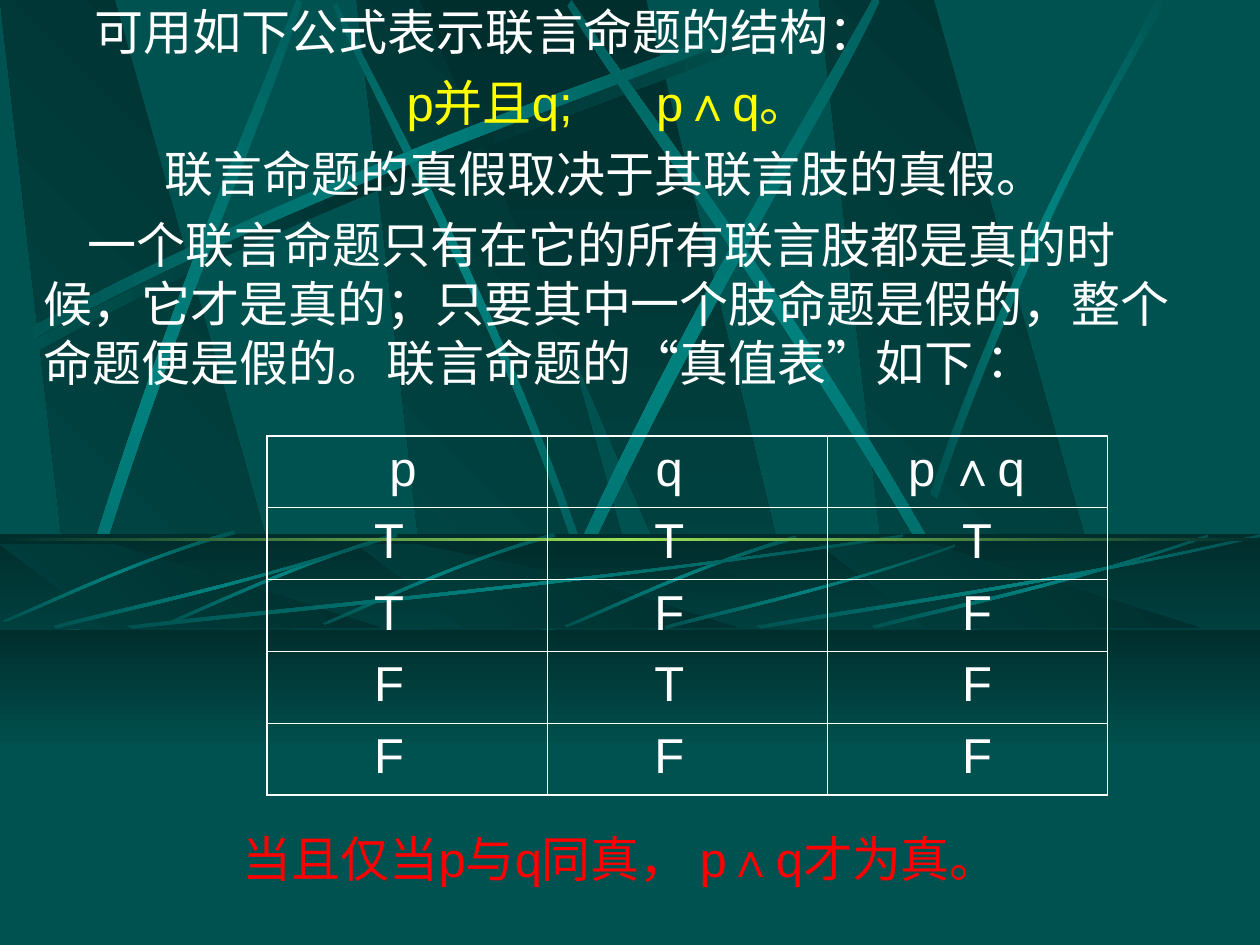
from pptx import Presentation
from pptx.dml.color import RGBColor
from pptx.enum.shapes import MSO_SHAPE as Preset
from pptx.oxml import parse_xml
from pptx.oxml.ns import nsdecls, qn
from pptx.util import Inches, Pt

# The grid: 10 columns by 7.5 rows of square cells
WIDTH = Inches(10)
CELL = WIDTH / 10
ROWS = 7.5

BASE, DARK, TEAL, LIME = "005250", "002E2D", "00817E", "9CE157"
WHITE, YELLOW, RED = "FFFFFF", "FFFF00", "FF0000"
SHADE = [(0, DARK), (100, BASE)]
GLOW = [(0, BASE), (50, TEAL), (100, BASE)]
GLOOM = [(0, BASE), (50, DARK), (100, BASE)]
HORIZON = [(0, DARK), (50, LIME), (100, DARK)]

# Streak outlines: two Bezier curves of four points, as shares of the frame
BEAM = [(0, .96), (.43, .43), (.83, .15), (1, 0),
        (1, .02), (.84, .19), (.39, .5), (0, 1)]
RAY = [(0, .99), (.4, .44), (.79, .16), (.95, 0),
       (1, 0), (.52, .37), (.16, .81), (.03, 1)]
SPROUT = [(.99, 0), (.52, .36), (.16, .82), (0, .98),
          (.01, 1), (.2, .81), (.62, .28), (1, .04)]
RIPPLE = [(1, .03), (.57, .56), (.17, .84), (.01, 1),
          (0, .97), (.17, .8), (.62, .49), (1, 0)]


def grid(cells):
    return round(cells * CELL)


def color(value):
    return RGBColor.from_string(value)


def paint_gradient(shape, stops, angle):
    marks = "".join(f'<a:gs pos="{share * 1000}"><a:srgbClr val="{value}"/></a:gs>'
                    for share, value in stops)
    gradient = parse_xml(f'<a:gradFill rotWithShape="1" {nsdecls("a")}><a:gsLst>{marks}</a:gsLst>'
                         f'<a:lin ang="{angle * 60000}" scaled="0"/></a:gradFill>')
    shape.fill.background()
    blank = shape.element.spPr.find(qn("a:noFill"))
    blank.getparent().replace(blank, gradient)


def make_plain(shape):
    shape.line.fill.background()
    shape.shadow.inherit = False


def add_outline(slide, points, stops, angle):
    corners = [(grid(x), grid(y)) for x, y in points]
    builder = slide.shapes.build_freeform(*corners[0], scale=1.0)
    builder.add_line_segments(corners[1:], close=True)
    shape = builder.convert_to_shape()
    paint_gradient(shape, stops, angle)
    make_plain(shape)
    return shape


def add_band(slide, top, height, stops=None, angle=90, fill=BASE, opacity=100):
    shape = slide.shapes.add_shape(Preset.RECTANGLE, 0, grid(top), WIDTH, grid(height))
    if stops:
        paint_gradient(shape, stops, angle)
    else:
        shape.fill.solid()
        shape.fill.fore_color.rgb = color(fill)
        if opacity < 100:
            alpha = parse_xml(f'<a:alpha val="{opacity * 1000}" {nsdecls("a")}/>')
            shape.element.spPr.find(f'{qn("a:solidFill")}/{qn("a:srgbClr")}').append(alpha)
    make_plain(shape)


def bend(shape):
    """Turn the sides between the points of each curve into one Bezier curve."""
    sides = list(shape.element.iter(qn("a:lnTo")))
    for first, second, third in (sides[0:3], sides[4:7]):
        curve = parse_xml(f'<a:cubicBezTo {nsdecls("a")}/>')
        first.addprevious(curve)
        for side in (first, second, third):
            curve.append(side[0])
            side.getparent().remove(side)


def add_streak(slide, outline, frame, turn=0, mirrored=False, stops=GLOW):
    left, top, width, height = frame
    points = [(left + width * (1 - x if mirrored else x), top + height * y)
              for x, y in outline]
    shape = add_outline(slide, points, stops, 180)
    bend(shape)
    shape.rotation = turn


def add_panels(slide, top, bottom):
    for left in (2.83, 0, 6.5):
        points = [(left + .86, bottom), (left + 3.02, bottom), (left + .91, top), (left, top)]
        add_outline(slide, points, SHADE, 135)
    add_outline(slide, [(3.33, top), (6.58, bottom), (6.94, bottom), (5.13, top)], SHADE, 90)


def add_background(slide):
    slide.background.fill.solid()
    slide.background.fill.fore_color.rgb = color(BASE)
    # Upper wall with crossing beams
    add_panels(slide, 0, ROWS)
    add_streak(slide, BEAM, (.2, .17, 6.08, 2.67), stops=GLOOM)
    add_streak(slide, BEAM, (1.41, 1.33, 4.42, 1.75), 44.9, True)
    add_streak(slide, BEAM, (.14, .09, 6.08, 2.67))
    add_streak(slide, BEAM, (-1.71, 1.81, 6.08, 2.67), 311.7)
    add_streak(slide, BEAM, (2.31, 1.58, 6.24, 3.01), 321.6)
    add_streak(slide, BEAM, (3.23, 1.5, 6.08, 2.67), 34.8, True)
    add_streak(slide, RAY, (7.38, 0, 1.89, 3.96))
    # Reflecting strip
    add_band(slide, 4.24, .75, SHADE)
    add_panels(slide, 4.32, 4.98)
    add_band(slide, 4.26, .75, fill=DARK, opacity=50)
    for left, top in ((4.48, 4.25), (2.56, 4.23), (1.31, 4.23), (.02, 4.21)):
        add_streak(slide, SPROUT, (left, top, 1.85, .73))
    for left, top, width in ((1, 4.24, 6.17), (.42, 4.24, 2.67), (5.27, 4.32, 2.31),
                             (6.92, 4.24, 2.67), (6, 4.24, 4)):
        add_streak(slide, RIPPLE, (left, top, width, 4.99 - top))
    # Horizon and floor
    add_band(slide, 4.27, .02, HORIZON, 180)
    add_band(slide, 5, 1, SHADE)
    add_band(slide, 5.92, ROWS - 5.92)


def add_run(paragraph, text, value, spacing=0):
    run = paragraph.add_run()
    run.text = text
    run.font.name = "Arial"
    run.font.size = Pt(28)
    run.font.color.rgb = color(value)
    if spacing:
        run.font._element.set("spc", str(spacing * 100))


def set_indent(paragraph, indent):
    properties = paragraph._p.get_or_add_pPr()
    properties.set("indent", str(grid(indent)))
    properties.set("hangingPunct", "0")


def add_text(slide, frame, lines):
    text_frame = slide.shapes.add_textbox(*map(grid, frame)).text_frame
    text_frame.word_wrap = True
    for index, (indent, value, runs) in enumerate(lines):
        paragraph = text_frame.add_paragraph() if index else text_frame.paragraphs[0]
        if index:
            paragraph.space_before = Pt(7)
        set_indent(paragraph, indent)
        for text, spacing in runs:
            add_run(paragraph, text, value, spacing)


def set_borders(cell, **widths):
    properties = cell._tc.get_or_add_tcPr()
    for side in "LRTB":
        properties.append(parse_xml(
            f'<a:ln{side} w="{Pt(widths[side])}" {nsdecls("a")}><a:solidFill>'
            f'<a:srgbClr val="{WHITE}"/></a:solidFill></a:ln{side}>'))


def add_truth_table(slide, frame, rows, header_indents, value_indents):
    row_count, column_count = len(rows), len(rows[0])
    table = slide.shapes.add_table(row_count, column_count, *map(grid, frame)).table
    table.first_row = table.horz_banding = False
    outer, inner = 1.08, .45
    for row, texts in enumerate(rows):
        indents = value_indents if row else header_indents
        for column, text in enumerate(texts):
            cell = table.cell(row, column)
            set_borders(cell, L=inner if column else outer, T=inner if row else outer,
                        R=outer if column == column_count - 1 else inner,
                        B=outer if row == row_count - 1 else inner)
            cell.fill.background()
            paragraph = cell.text_frame.paragraphs[0]
            set_indent(paragraph, indents[column])
            add_run(paragraph, text, WHITE)


def main():
    presentation = Presentation()
    presentation.slide_width, presentation.slide_height = WIDTH, grid(ROWS)
    slide = presentation.slides.add_slide(presentation.slide_layouts[6])
    add_background(slide)
    # Explanation: first-line indent, colour, runs with their letter spacing
    add_text(slide, (.25, -.04, 9.3, 3.2), [
        (.4, WHITE, [("可用如下公式表示联言命题的结构：", 0)]),
        (2.88, YELLOW, [("p并且q;", 0), (" ", 40), ("p∧q。", 0)]),
        (.96, WHITE, [("联言命题的真假取决于其联言肢的真假。", 0)]),
        (.35, WHITE, [("一个联言命题只有在它的所有联言肢都是真的时候，它才是真的；只要其中一个肢命题是假的，"
                       "整个命题便是假的。联言命题的“真值表”如下∶", 0)]),
    ])
    # Truth table
    add_truth_table(slide, (2.12, 3.46, 6.67, 2.85),
                    [["p", "q", "p ∧q"], "TTT", "TFF", "FTF", "FFF"],
                    (.87, .76, .54), (.75, .75, .97))
    # Conclusion
    add_text(slide, (1.83, 6.53, 7.8, .6), [(0, RED, [("当且仅当p与q同真， p∧q才为真。", 0)])])
    presentation.save("out.pptx")


if __name__ == "__main__":
    main()
